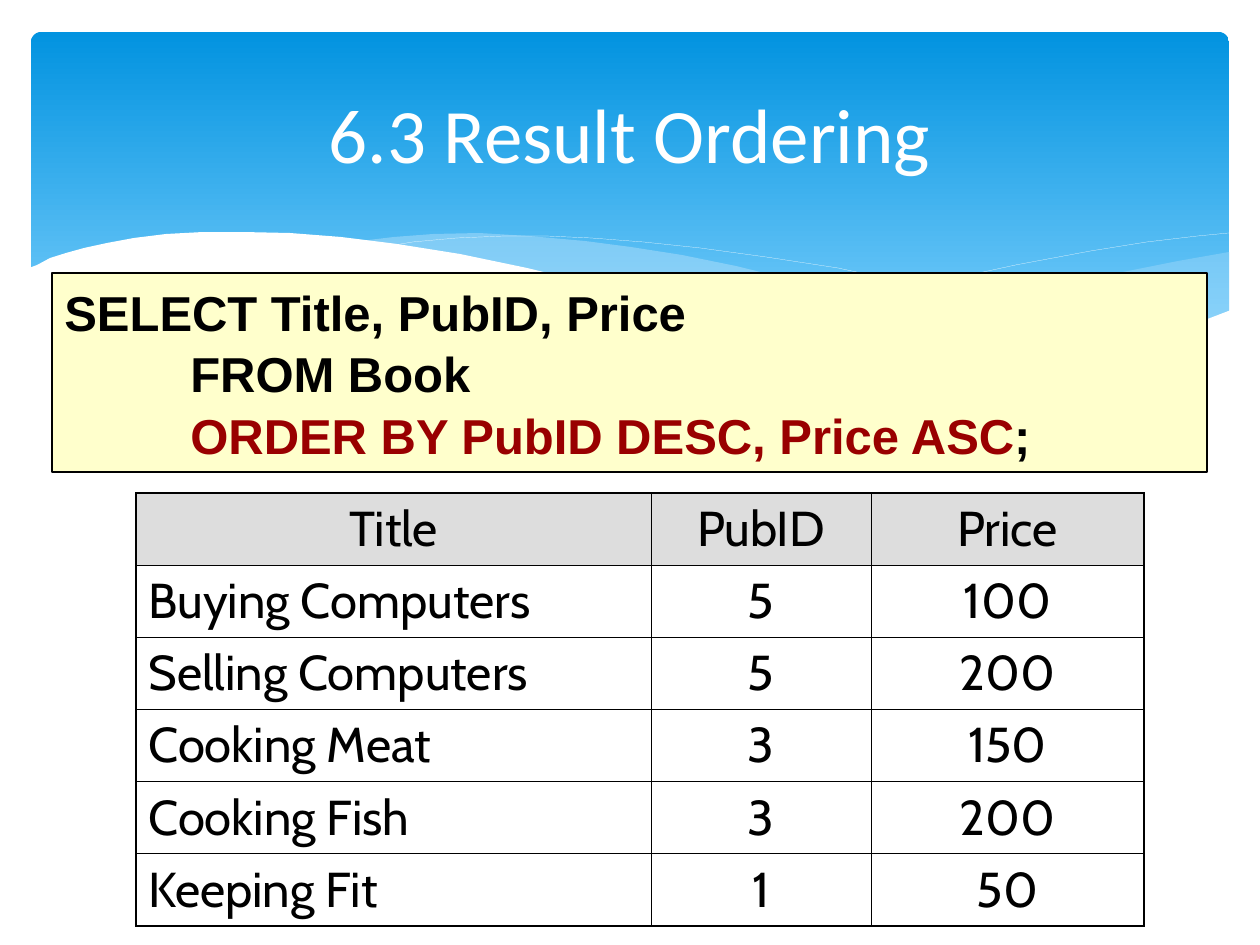
from lxml.etree import SubElement
from pptx import Presentation
from pptx.dml.color import RGBColor
from pptx.enum.shapes import MSO_SHAPE as Preset
from pptx.enum.text import MSO_ANCHOR as Anchor, PP_ALIGN as Align
from pptx.oxml.ns import qn
from pptx.util import Pt

SCALE = 914400 / 126
BLACK, WHITE, RED = "000000", "FFFFFF", "990000"

TITLE = "6.3 Result Ordering"
QUERY = [
    [("SELECT Title, PubID, Price", BLACK)],
    [("\tFROM Book", BLACK)],
    [("\t", BLACK), ("ORDER BY PubID DESC, Price ASC", RED), (";", BLACK)],
]
BOOKS = [
    ("Title", "PubID", "Price"),
    ("Buying Computers", "5", "100"),
    ("Selling Computers", "5", "200"),
    ("Cooking Meat", "3", "150"),
    ("Cooking Fish", "3", "200"),
    ("Keeping Fit", "1", "50"),
]
COLUMN_WIDTHS = (515, 220, 273)
ROW_HEIGHT = 72

RIGHT_WAVE = [
    (1229, 252), (1178, 261), (1123, 272), (1048, 290), (949, 312), (833, 334),
    (871, 339), (922, 345), (984, 349), (1038, 349), (1099, 345), (1150, 336),
    (1196, 324), (1230, 311), (1230, 252),
]
MIDDLE_WAVE = [
    (1125, 344), (1055, 334), (977, 320), (890, 302), (793, 280), (736, 266),
    (682, 255), (631, 247), (585, 241), (529, 236), (479, 233), (433, 234),
    (394, 237), (360, 241), (407, 247), (456, 256), (509, 266), (566, 280),
    (668, 302), (757, 321), (819, 332), (876, 340), (927, 346), (974, 350),
    (1017, 352), (1056, 350), (1092, 348),
]
LONG_CURVE = [
    (389, 246), (413, 242), (457, 238), (505, 236), (546, 236), (591, 238),
    (643, 242), (700, 248), (766, 257), (838, 268), (916, 285), (1002, 305),
    (1094, 329), (1143, 343),
]
SHORT_CURVE = [
    (772, 324), (822, 310), (876, 296), (942, 281), (1016, 265), (1091, 251),
    (1147, 242), (1198, 236), (1229, 233),
]
FRONT_WAVE = [
    (1231, 310), (1197, 323), (1159, 334), (1118, 342), (1071, 347), (1019, 349),
    (959, 346), (892, 340), (815, 330), (730, 315), (634, 294), (527, 268),
    (460, 254), (397, 244), (341, 237), (290, 233), (243, 232), (203, 232),
    (166, 234), (134, 238), (107, 243), (84, 248), (66, 253), (50, 258),
    (37, 265), (29, 268), (29, 415), (1231, 415),
]


def px(*values):
    return [round(value * SCALE) for value in values]


def color(value):
    return RGBColor.from_string(value)


def add_run(paragraph, text, size, font, value, bold=False):
    run = paragraph.add_run()
    run.text = text
    run.font.size = Pt(size)
    run.font.name = font
    run.font.bold = bold
    run.font.color.rgb = color(value)


def add_outline(shapes, points, closed):
    builder = shapes.build_freeform(*points[0], scale=SCALE)
    builder.add_line_segments(points[1:], close=closed)
    shape = builder.convert_to_shape()
    shape.shadow.inherit = False
    return shape


def add_wave(shapes, points, value, opacity=100):
    wave = add_outline(shapes, points, True)
    wave.line.fill.background()
    wave.fill.solid()
    wave.fill.fore_color.rgb = color(value)
    if opacity < 100:
        hue = next(wave._element.spPr.iter(qn("a:srgbClr")))
        SubElement(hue, qn("a:alpha"), val=str(opacity * 1000))


def add_curve(shapes, points):
    curve = add_outline(shapes, points, False)
    curve.fill.background()
    curve.line.color.rgb = color(WHITE)
    curve.line.width = Pt(0.1)


def add_banner(shapes):
    banner = shapes.add_shape(Preset.ROUNDED_RECTANGLE, *px(31, 32, 1198, 340))
    banner.adjustments[0] = 0.03
    banner.shadow.inherit = False
    banner.line.fill.background()
    banner.fill.gradient()
    banner.fill.gradient_angle = 270
    for stop, value in zip(banner.fill.gradient_stops, ("0293E0", "83D3FE")):
        stop.color.rgb = color(value)
    add_wave(shapes, RIGHT_WAVE, "C6E7FC", 29)
    add_wave(shapes, MIDDLE_WAVE, "C6E7FC", 40)
    add_curve(shapes, LONG_CURVE)
    add_curve(shapes, SHORT_CURVE)
    add_wave(shapes, FRONT_WAVE, WHITE)


def place_title(shapes):
    title = shapes.title
    shapes._spTree.append(title._element)
    title.left, title.top, title.width, title.height = px(63, 47, 1134, 172)
    title.text_frame.vertical_anchor = Anchor.MIDDLE
    paragraph = title.text_frame.paragraphs[0]
    paragraph.alignment = Align.CENTER
    add_run(paragraph, TITLE, 44, "Calibri", WHITE)


def add_query(shapes):
    box = shapes.add_shape(Preset.RECTANGLE, *px(52, 273, 1155, 199))
    box.shadow.inherit = False
    box.fill.solid()
    box.fill.fore_color.rgb = color("FFFFCC")
    box.line.color.rgb = color(BLACK)
    box.line.width = Pt(0.75)
    frame = box.text_frame
    frame.word_wrap = True
    frame.vertical_anchor = Anchor.TOP
    for index, runs in enumerate(QUERY):
        paragraph = frame.add_paragraph() if index else frame.paragraphs[0]
        tabs = SubElement(paragraph._p.get_or_add_pPr(), qn("a:tabLst"))
        SubElement(tabs, qn("a:tab"), pos=str(px(126)[0]), algn="l")
        paragraph.alignment = Align.LEFT
        paragraph.line_spacing = 1.05
        for text, value in runs:
            add_run(paragraph, text, 28, "Arial", value, True)


def set_borders(cell, outer_sides):
    for side in ("L", "R", "T", "B"):
        width = Pt(1.08 if side in outer_sides else 0.45)
        line = SubElement(cell._tc.get_or_add_tcPr(), qn("a:ln" + side), w=str(width))
        fill = SubElement(line, qn("a:solidFill"))
        SubElement(fill, qn("a:srgbClr"), val=BLACK)


def add_books(shapes):
    rows, columns = len(BOOKS), len(COLUMN_WIDTHS)
    area = px(136, 493, sum(COLUMN_WIDTHS), rows * ROW_HEIGHT)
    table = shapes.add_table(rows, columns, *area).table
    table.first_row = table.horz_banding = False
    for column, width in zip(table.columns, px(*COLUMN_WIDTHS)):
        column.width = width
    for r, book in enumerate(BOOKS):
        table.rows[r].height = px(ROW_HEIGHT)[0]
        for c, text in enumerate(book):
            cell = table.cell(r, c)
            edges = {"L": c == 0, "R": c == columns - 1, "T": r == 0, "B": r == rows - 1}
            set_borders(cell, [side for side, outer in edges.items() if outer])
            if r == 0:
                cell.fill.solid()
                cell.fill.fore_color.rgb = color("DDDDDD")
            else:
                cell.fill.background()
            paragraph = cell.text_frame.paragraphs[0]
            paragraph.alignment = Align.LEFT if r and c == 0 else Align.CENTER
            add_run(paragraph, text, 28, "Cabin", BLACK)


def main():
    presentation = Presentation()
    presentation.slide_width, presentation.slide_height = px(1260, 945)
    slide = presentation.slides.add_slide(presentation.slide_layouts[5])
    add_banner(slide.shapes)
    place_title(slide.shapes)
    add_query(slide.shapes)
    add_books(slide.shapes)
    presentation.save("out.pptx")


if __name__ == "__main__":
    main()
